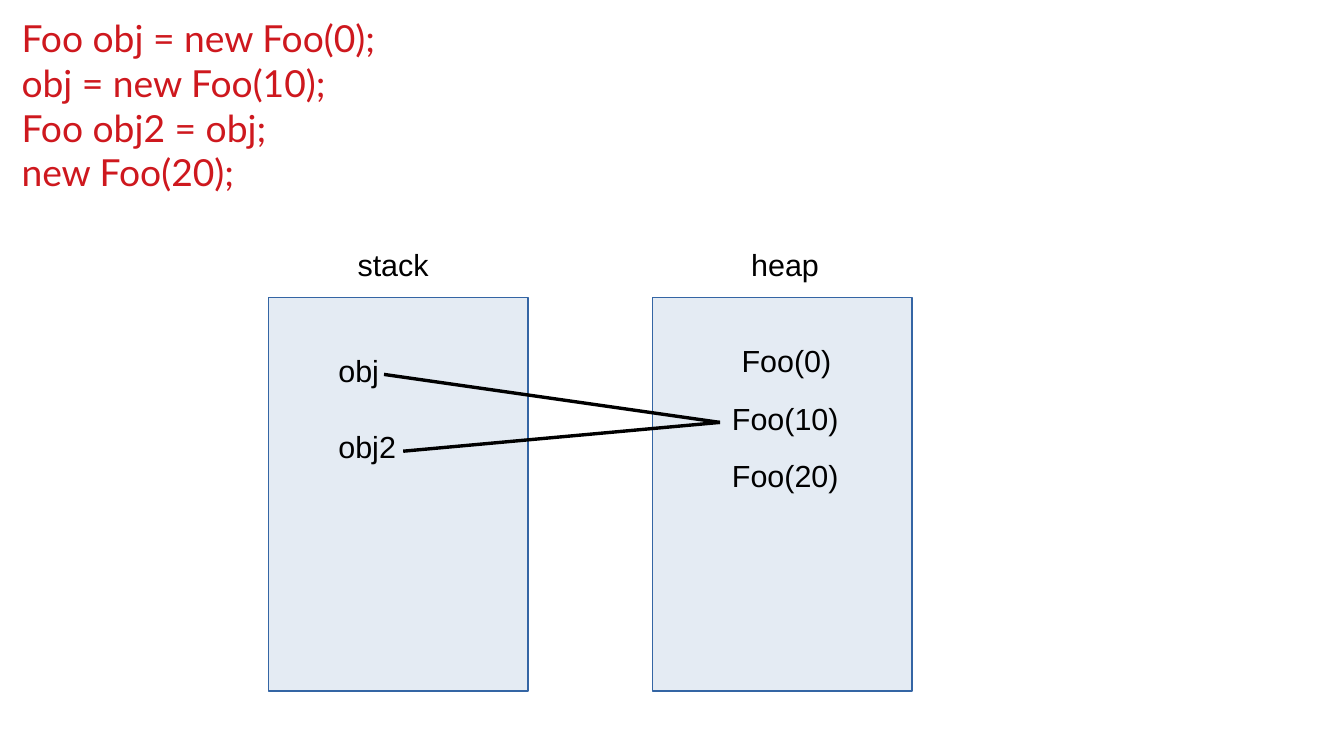
from dataclasses import dataclass

from lxml import etree
from pptx import Presentation
from pptx import util as u
from pptx.dml.color import RGBColor
from pptx.enum import shapes
from pptx.oxml.ns import qn


@dataclass(frozen=True)
class Theme:
    """Colours, fonts and type sizes of the slide."""
    code_color: str = "CE181E"
    code_font: str = "Lato"
    code_size: int = 22
    label_color: str = "000000"
    label_font: str = "Arial"
    label_size: int = 18
    area_fill: str = "E4EBF3"
    area_line: str = "3465A4"
    hairline: int = 0


class MemorySlide:
    """Draws code, memory areas, labels and references on one page."""

    def __init__(self, page, theme):
        self.page = page
        self.theme = theme

    def textbox(self, content, left, top, width, height, font, size, color):
        """Add a text box whose paragraphs share one style."""
        box = self.page.shapes.add_textbox(
            u.Cm(left), u.Cm(top), u.Cm(width), u.Cm(height))
        box.text_frame.word_wrap = True
        box.text_frame.text = content
        for para in box.text_frame.paragraphs:
            for span in para.runs:
                span.font.name = font
                span.font.size = u.Pt(size)
                span.font.color.rgb = RGBColor.from_string(color)

    def code(self, lines, left, top, width, height):
        """Add a code listing, one paragraph per line."""
        theme = self.theme
        self.textbox("\n".join(lines), left, top, width, height,
                     theme.code_font, theme.code_size, theme.code_color)

    def label(self, content, left, top, width, height=0.96):
        """Add a plain label."""
        theme = self.theme
        self.textbox(content, left, top, width, height,
                     theme.label_font, theme.label_size, theme.label_color)

    def area(self, left, top, width, height):
        """Add the rectangle of one memory area."""
        box = self.page.shapes.add_shape(
            shapes.MSO_SHAPE.RECTANGLE,
            u.Cm(left), u.Cm(top), u.Cm(width), u.Cm(height))
        box.shadow.inherit = False
        box.fill.solid()
        box.fill.fore_color.rgb = RGBColor.from_string(self.theme.area_fill)
        box.line.color.rgb = RGBColor.from_string(self.theme.area_line)
        box.line.width = u.Pt(self.theme.hairline)

    def reference(self, start, end):
        """Add a straight line from a variable to its object."""
        line = self.page.shapes.add_connector(
            shapes.MSO_CONNECTOR.STRAIGHT,
            *(u.Cm(value) for value in (*start, *end)))
        line.line.color.rgb = RGBColor.from_string(self.theme.label_color)
        line.line.width = u.Pt(self.theme.hairline)
        etree.SubElement(line._element.spPr, qn("a:effectLst"))


def main():
    """Build the stack and heap slide."""
    deck = Presentation()
    deck.slide_width, deck.slide_height = u.Cm(28), u.Cm(15.75)
    slide = MemorySlide(deck.slides.add_slide(deck.slide_layouts[6]), Theme())

    slide.code(["Foo obj = new Foo(0);", "obj = new Foo(10);",
                "Foo obj2 = obj;", "new Foo(20);"], 0.2, 0.2, 26.6, 5.7)

    for area_left in (5.6, 13.6):
        slide.area(area_left, 6.2, 5.4, 8.2)
    slide.label("stack", 7.2, 5, 2.6)
    slide.label("heap", 15.4, 5, 2.2)

    variables = [("obj", 7.2, 1.6, 8), ("obj2", 8.8, 2.8, 8.4)]
    for name, top, width, line_left in variables:
        slide.label(name, 6.8, top, width)
        slide.reference((line_left, top + 0.6), (15, 8.8))

    objects = [("Foo(0)", 15.2, 2.5), ("Foo(10)", 15, 3), ("Foo(20)", 15, 3)]
    for row, (name, left, width) in enumerate(objects):
        slide.label(name, left, 7 + 1.2 * row, width)

    deck.save("out.pptx")


if __name__ == "__main__":
    main()
